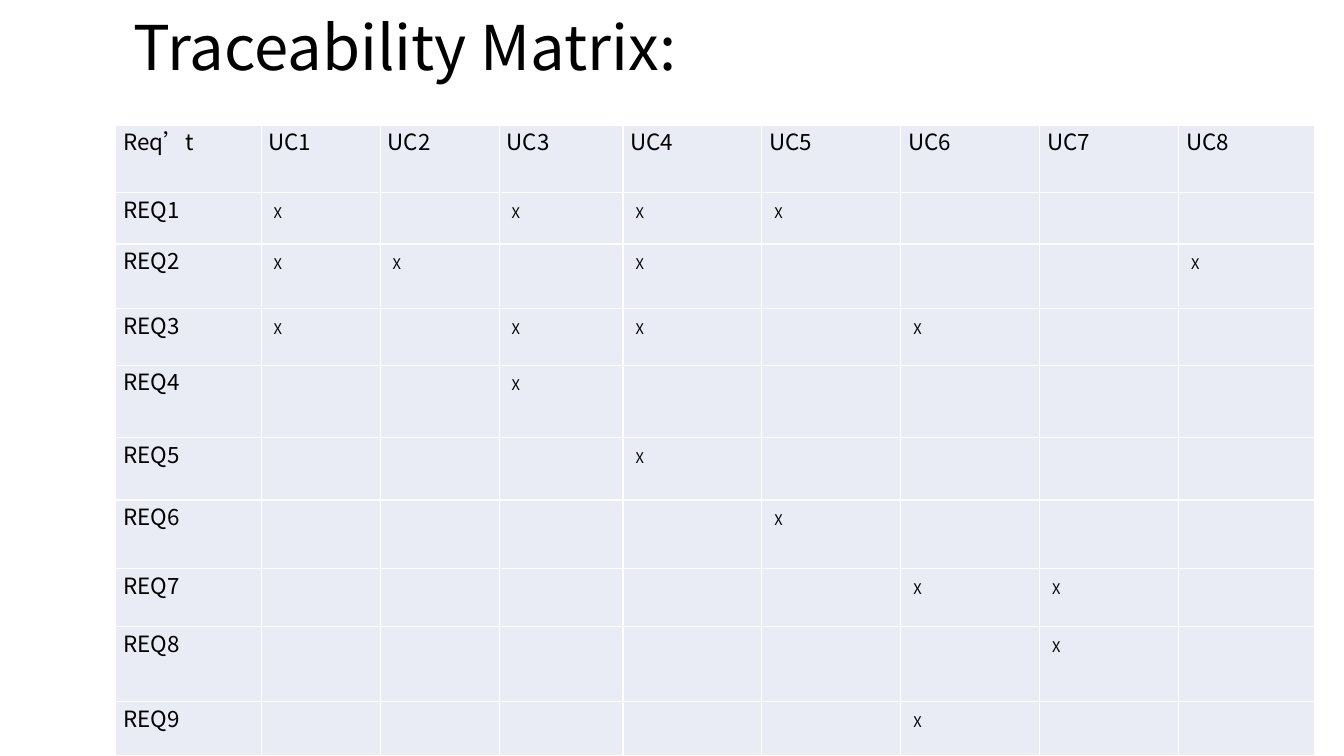
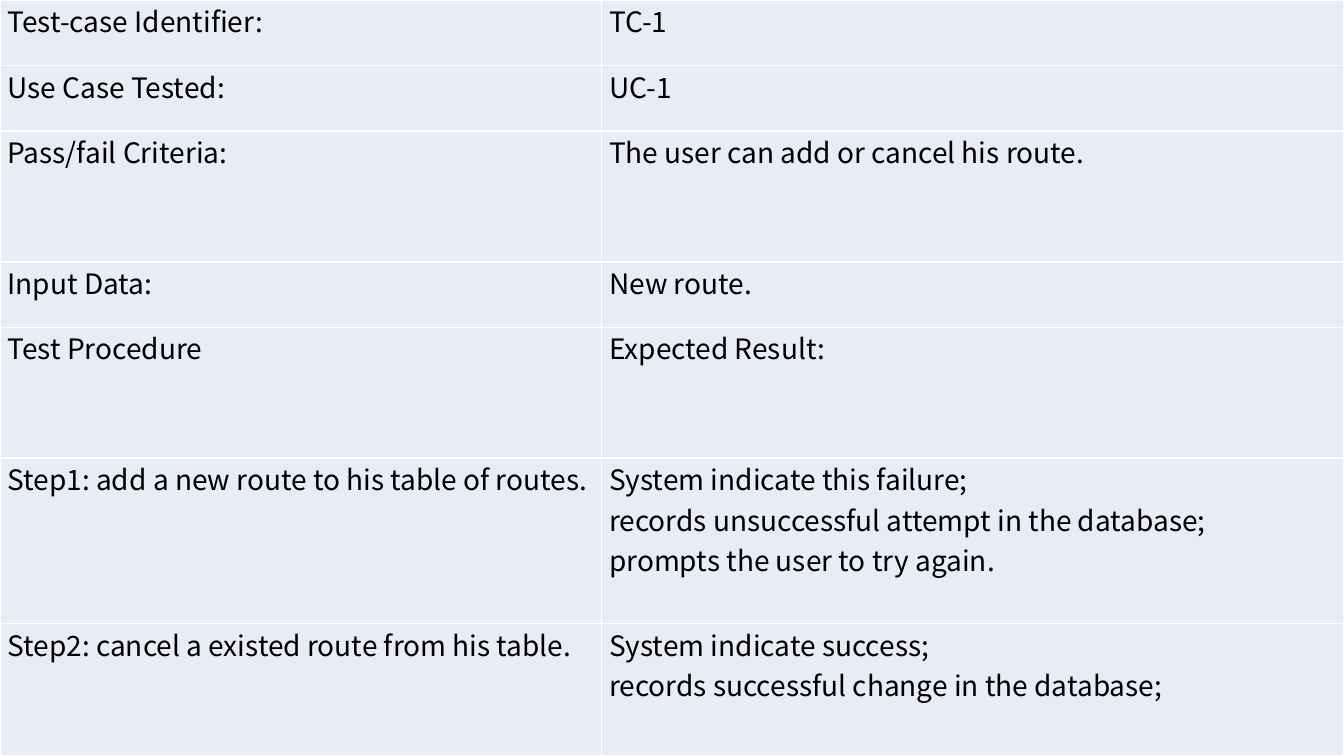
from dataclasses import dataclass
from typing import Any

from lxml.etree import SubElement
from pptx import Presentation
from pptx.dml.color import RGBColor
from pptx.enum.text import MSO_ANCHOR, PP_ALIGN
from pptx.oxml.ns import qn
from pptx.util import Cm, Pt

# Shared look
FONT = "Noto Sans CJK SC"
INK, CELL_FILL, GRID = "000000", "E9EBF5", "FFFFFF"
TITLE_SIZE, MARK_SIZE = 44, 10.5
BORDER_TAGS = ("a:lnL", "a:lnR", "a:lnT", "a:lnB")
CELL_FORMAT = {"margin_left": Cm(0.19), "margin_right": Cm(0.19),
               "margin_top": 0, "margin_bottom": 0}
TITLE_FORMAT = {"word_wrap": True, "vertical_anchor": MSO_ANCHOR.TOP,
                "margin_top": 0, "margin_bottom": 0}


@dataclass(frozen=True)
class Span:
    text: str
    size: float


# A cell holds paragraphs, and a paragraph holds spans
Paragraph = list[Span]
Content = list[Paragraph]


@dataclass(frozen=True)
class Grid:
    left: float
    top: float
    columns: list[float]
    rows: list[float]
    cells: list[list[Content]]


def color(value: str) -> RGBColor:
    return RGBColor.from_string(value)


def apply(target: Any, values: dict[str, Any]) -> None:
    for name, value in values.items():
        setattr(target, name, value)


def write_paragraph(para: Any, spans: Paragraph) -> None:
    for span in spans:
        run = para.add_run()
        run.text = span.text
        apply(run.font, {"name": FONT, "size": Pt(span.size), "bold": False})
        run.font.color.rgb = color(INK)
        SubElement(run.font._element, qn("a:ea"), typeface=FONT)


def add_borders(cell: Any) -> None:
    properties = cell._tc.get_or_add_tcPr()
    for position, tag in enumerate(BORDER_TAGS):
        line = SubElement(properties, qn(tag), w=str(Pt(1)))
        fill = SubElement(line, qn("a:solidFill"))
        SubElement(fill, qn("a:srgbClr"), val=GRID)
        properties.insert(position, line)


def fill_cell(cell: Any, content: Content) -> None:
    apply(cell, CELL_FORMAT)
    cell.fill.solid()
    cell.fill.fore_color.rgb = color(CELL_FILL)
    add_borders(cell)
    frame = cell.text_frame
    for index, spans in enumerate(content):
        para = frame.add_paragraph() if index else frame.paragraphs[0]
        para.alignment = PP_ALIGN.LEFT if len(content) > 1 else PP_ALIGN.JUSTIFY
        write_paragraph(para, spans)


def add_grid(page: Any, grid: Grid) -> None:
    table = page.shapes.add_table(
        len(grid.rows), len(grid.columns), Cm(grid.left), Cm(grid.top),
        Cm(sum(grid.columns)), Cm(sum(grid.rows))).table
    apply(table, {"first_row": False, "horz_banding": False})
    for column, width in zip(table.columns, grid.columns):
        column.width = Cm(width)
    for row, height, contents in zip(table.rows, grid.rows, grid.cells):
        row.height = Cm(height)
        for cell, content in zip(row.cells, contents):
            fill_cell(cell, content)


def add_title(page: Any, text: str) -> None:
    box = page.shapes.add_textbox(Cm(3.12), Cm(0.43), Cm(29.21), Cm(2.05))
    apply(box.text_frame, TITLE_FORMAT)
    para = box.text_frame.paragraphs[0]
    para.line_spacing = 0.9
    write_paragraph(para, [Span(text, TITLE_SIZE)])


def lines(size: float, *texts: str) -> Content:
    return [[Span(text, size)] for text in texts]


# Traceability matrix: use cases covered by each requirement
LABEL_SIZE = 16
USE_CASES = range(1, 9)
COVERAGE = [{1, 3, 4, 5}, {1, 2, 4, 8}, {1, 3, 4, 6}, {3}, {4}, {5},
            {6, 7}, {7}, {6}]
MARK: Content = [[Span(" ", LABEL_SIZE), Span("X", MARK_SIZE)]]

matrix_cells = [[lines(LABEL_SIZE, "Req’t")]
                + [lines(LABEL_SIZE, f"UC{case}") for case in USE_CASES]]
for number, covered in enumerate(COVERAGE, start=1):
    matrix_cells.append([lines(LABEL_SIZE, f"REQ{number}")]
                        + [MARK if case in covered else [] for case in USE_CASES])

matrix = Grid(2.92, 3.15, [3.66, 3, 3, 3.12] + [3.5] * 4 + [3.43],
              [1.7, 1.3, 1.63, 1.42, 1.83, 1.57, 1.73, 1.45, 1.9, 1.37],
              matrix_cells)

# Test case: label and one or more lines of detail
TEST_SIZE = 20
TEST_ROWS = [
    ("Test-case Identifier:", ["TC-1"]),
    ("Use Case Tested:", ["UC-1"]),
    ("Pass/fail Criteria:", ["The user can add or cancel his route."]),
    ("Input Data:", ["New route."]),
    ("Test Procedure", ["Expected Result:"]),
    ("Step1: add a new route to his table of routes.",
     ["System indicate this failure;",
      "records unsuccessful attempt in the database;",
      "prompts the user to try again."]),
    ("Step2: cancel a existed route from his table.",
     ["System indicate success;",
      "records successful change in the database;"]),
]
test_case = Grid(0, 0, [15.16, 18.71], [1.65, 1.65, 3.3, 1.65, 3.29, 4.17, 3.34],
                 [[lines(TEST_SIZE, label), lines(TEST_SIZE, *details)]
                  for label, details in TEST_ROWS])

# Build the deck
deck = Presentation()
apply(deck, {"slide_width": Cm(33.87), "slide_height": Cm(19.05)})
blank = deck.slide_layouts[6]

matrix_page = deck.slides.add_slide(blank)
add_title(matrix_page, "Traceability Matrix:")
add_grid(matrix_page, matrix)

test_page = deck.slides.add_slide(blank)
add_grid(test_page, test_case)

deck.save("out.pptx")
